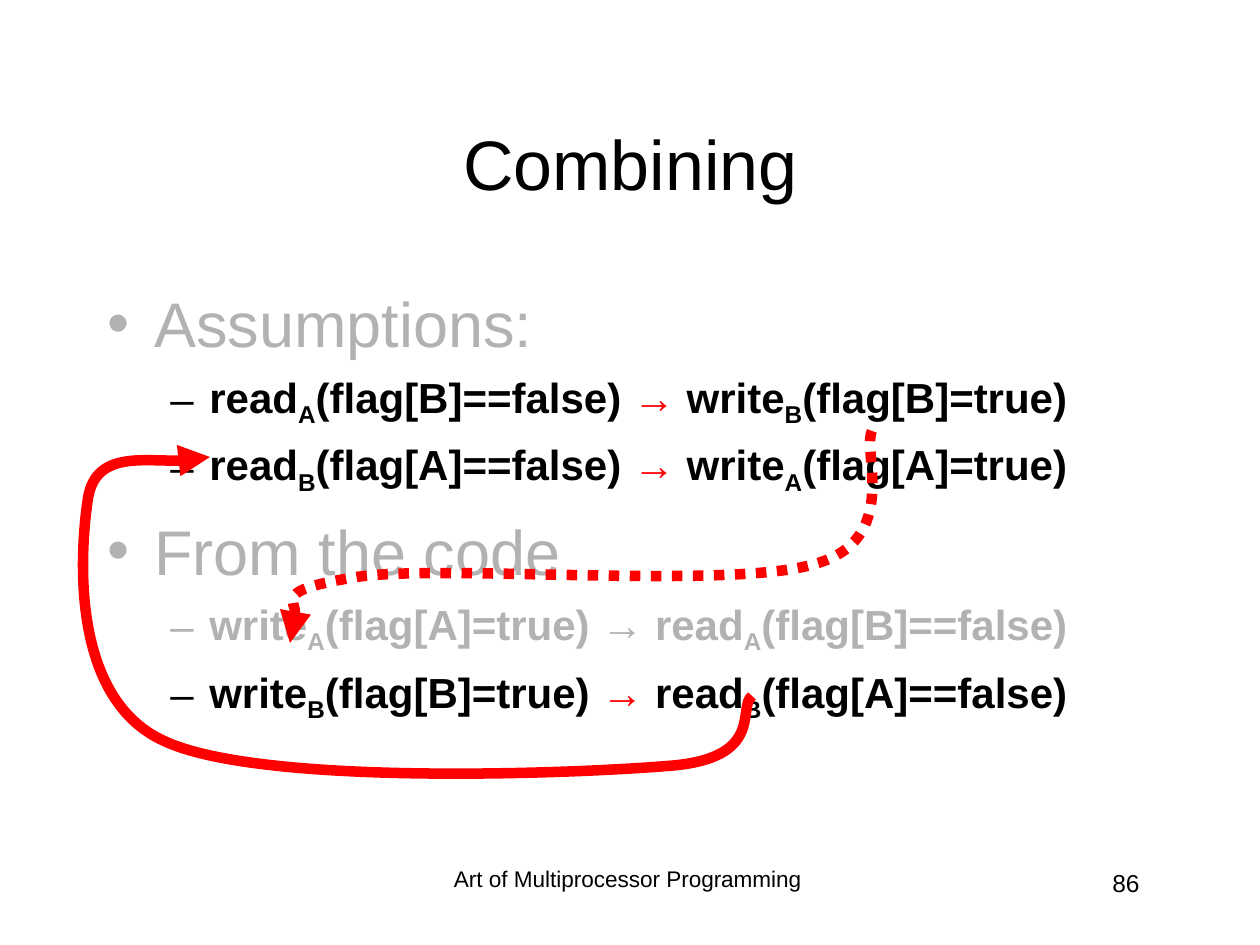
from dataclasses import dataclass

from lxml.etree import SubElement
from pptx import Presentation
from pptx.dml.color import RGBColor
from pptx.enum.dml import MSO_LINE_DASH_STYLE as Dash
from pptx.enum.text import MSO_ANCHOR as Anchor, PP_ALIGN as Align
from pptx.oxml.ns import qn
from pptx.util import Pt

EMU_PER_PX = 914400 / 126
FONT = "Arial"
BLACK, GRAY, RED = "000000", "B2B2B2", "FF0000"


@dataclass(frozen=True)
class Box:
    left: int
    top: int
    width: int
    height: int


@dataclass(frozen=True)
class Event:
    action: str
    thread: str
    flag: str

    @property
    def argument(self) -> str:
        value = "==false" if self.action == "read" else "=true"
        return f"(flag[{self.flag}]{value})"


@dataclass(frozen=True)
class Heading:
    text: str


@dataclass(frozen=True)
class Ordering:
    before: Event
    after: Event
    color: str = BLACK
    arrow_color: str = RED


@dataclass(frozen=True)
class CurvedArrow:
    points: tuple[tuple[int, int], ...]
    dash: Dash = Dash.SOLID


@dataclass(frozen=True)
class Label:
    box: Box
    text: str
    size: float
    align: Align
    line_spacing: float = 1.0


TITLE_BOX = Box(95, 84, 1071, 158)
BODY_BOX = Box(95, 273, 1071, 567)
BODY = (
    Heading("Assumptions:"),
    Ordering(Event("read", "A", "B"), Event("write", "B", "B")),
    Ordering(Event("read", "B", "A"), Event("write", "A", "A")),
    Heading("From the code"),
    Ordering(Event("write", "A", "A"), Event("read", "A", "B"), GRAY, GRAY),
    Ordering(Event("write", "B", "B"), Event("read", "B", "A")),
)
LABELS = (
    Label(Box(428, 862, 399, 63), "Art of Multiprocessor Programming", 12.9, Align.CENTER, 0.9),
    Label(Box(890, 862, 262, 63), "86", 14, Align.RIGHT),
)
ARROWS = (
    CurvedArrow((
        (752, 696), (737, 707), (766, 759), (668, 766),
        (570, 774), (260, 786), (164, 741),
        (67, 697), (81, 544), (88, 498),
        (96, 450), (185, 466), (210, 457),
    )),
    CurvedArrow((
        (872, 431), (862, 452), (901, 540), (815, 564),
        (730, 590), (445, 564), (357, 577),
        (270, 591), (304, 629), (290, 643),
    ), Dash.ROUND_DOT),
)


def px(length: float) -> int:
    return round(length * EMU_PER_PX)


def rgb(color: str) -> RGBColor:
    return RGBColor.from_string(color)


def place(shape, box: Box) -> None:
    shape.left, shape.top = px(box.left), px(box.top)
    shape.width, shape.height = px(box.width), px(box.height)


def add_text_box(slide, box: Box):
    shape = slide.shapes.add_textbox(0, 0, 0, 0)
    place(shape, box)
    shape.text_frame.word_wrap = True
    return shape.text_frame


def format_font(font, size: float, color: str, bold: bool = False) -> None:
    font.name = FONT
    font.size = Pt(size)
    font.bold = bold
    font.color.rgb = rgb(color)


def add_run(paragraph, text: str, size: float, color: str,
            bold: bool = False, subscript: bool = False) -> None:
    run = paragraph.add_run()
    run.text = text
    format_font(run.font, size, color, bold)
    if subscript:
        run._r.get_or_add_rPr().set("baseline", "-25000")


def add_bullet(paragraph, mark: str, color: str, margin: int, hanging: int) -> None:
    properties = paragraph._p.get_or_add_pPr()
    properties.set("marL", str(px(margin)))
    properties.set("indent", str(-px(hanging)))
    bullet_color = SubElement(properties, qn("a:buClr"))
    SubElement(bullet_color, qn("a:srgbClr"), val=color)
    SubElement(properties, qn("a:buFont"), typeface=FONT)
    SubElement(properties, qn("a:buChar"), char=mark)


def write_heading(paragraph, heading: Heading) -> None:
    add_bullet(paragraph, "•", GRAY, 47, 47)
    add_run(paragraph, heading.text, 36, GRAY)


def write_ordering(paragraph, ordering: Ordering) -> None:
    paragraph.level = 1
    add_bullet(paragraph, "–", ordering.color, 102, 39)
    before, after, color = ordering.before, ordering.after, ordering.color
    for text, run_color, subscript in (
        (before.action, color, False),
        (before.thread, color, True),
        (before.argument + " ", color, False),
        ("→", ordering.arrow_color, False),
        (" " + after.action, color, False),
        (after.thread, color, True),
        (after.argument, color, False),
    ):
        add_run(paragraph, text, 24, run_color, True, subscript)


def add_body(slide) -> None:
    text_frame = add_text_box(slide, BODY_BOX)
    text_frame.margin_top = px(12)
    for index, item in enumerate(BODY):
        paragraph = text_frame.add_paragraph() if index else text_frame.paragraphs[0]
        if isinstance(item, Heading):
            write_heading(paragraph, item)
        else:
            write_ordering(paragraph, item)
        if index:
            paragraph.space_before = Pt(9 if isinstance(item, Heading) else 6)


def add_label(slide, label: Label) -> None:
    text_frame = add_text_box(slide, label.box)
    text_frame.text = label.text
    paragraph = text_frame.paragraphs[0]
    paragraph.alignment = label.align
    paragraph.line_spacing = label.line_spacing
    format_font(paragraph.runs[0].font, label.size, BLACK)


def add_title(slide, text: str) -> None:
    title = slide.shapes.title
    place(title, TITLE_BOX)
    title.text_frame.text = text
    title.text_frame.vertical_anchor = Anchor.MIDDLE
    paragraph = title.text_frame.paragraphs[0]
    paragraph.alignment = Align.CENTER
    format_font(paragraph.runs[0].font, 40, BLACK)


def add_curved_arrow(slide, arrow: CurvedArrow) -> None:
    builder = slide.shapes.build_freeform(*arrow.points[0], scale=EMU_PER_PX)
    builder.add_line_segments(arrow.points[1:], close=False)
    shape = builder.convert_to_shape()
    segments = list(shape._element.iter(qn("a:lnTo")))
    for start in range(0, len(segments), 3):
        curve = SubElement(segments[start].getparent(), qn("a:cubicBezTo"))
        for segment in segments[start:start + 3]:
            curve.append(segment[0])
            segment.getparent().remove(segment)
    shape.shadow.inherit = False
    shape.fill.background()
    shape.line.color.rgb = rgb(RED)
    shape.line.width = Pt(6)
    shape.line.dash_style = arrow.dash
    SubElement(shape.line._get_or_add_ln(), qn("a:tailEnd"), type="triangle")


def main() -> None:
    presentation = Presentation()
    presentation.slide_width, presentation.slide_height = px(1260), px(945)
    slide = presentation.slides.add_slide(presentation.slide_layouts[5])
    for label in LABELS:
        add_label(slide, label)
    add_body(slide)
    add_title(slide, "Combining")
    for arrow in ARROWS:
        add_curved_arrow(slide, arrow)
    presentation.save("out.pptx")


if __name__ == "__main__":
    main()
